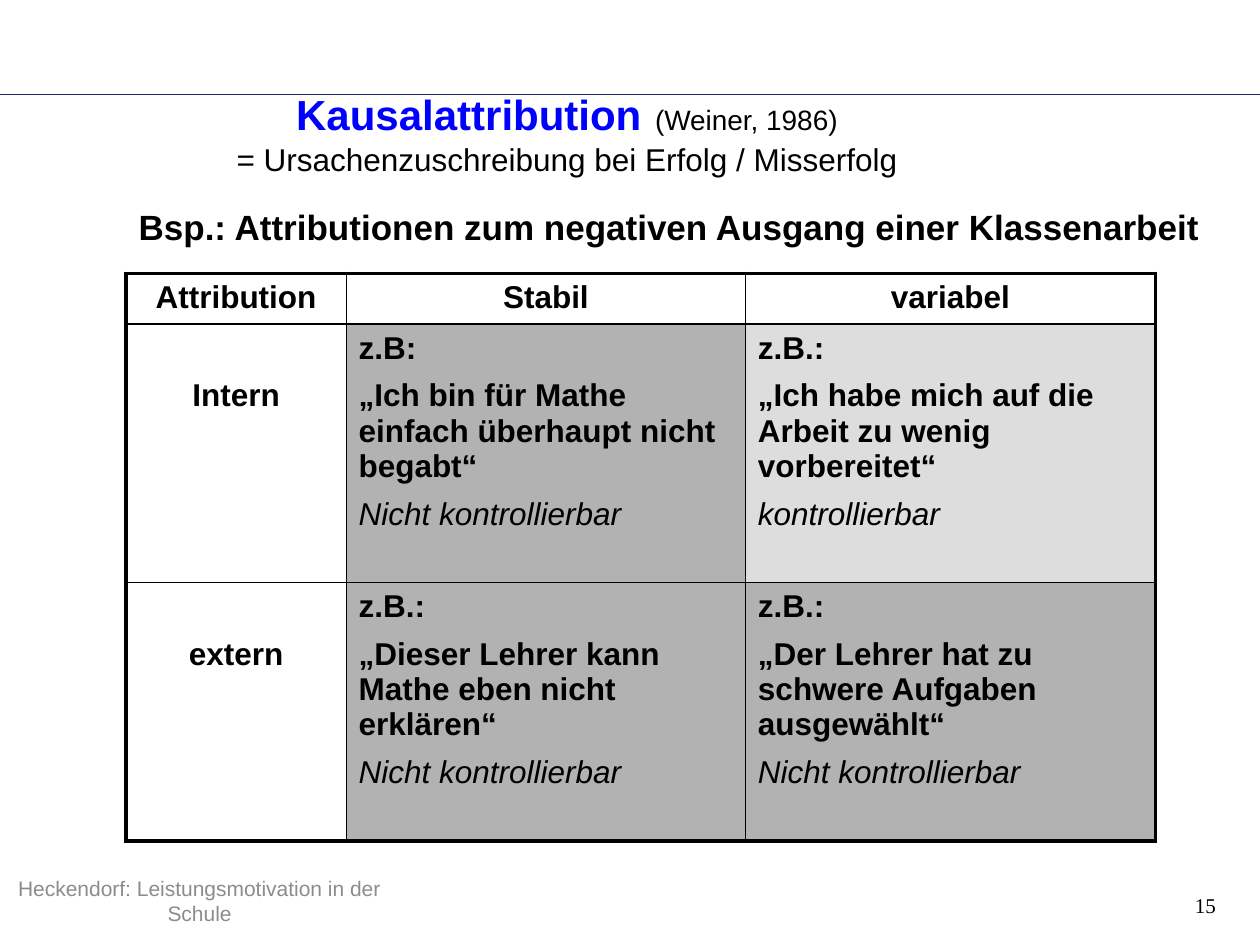
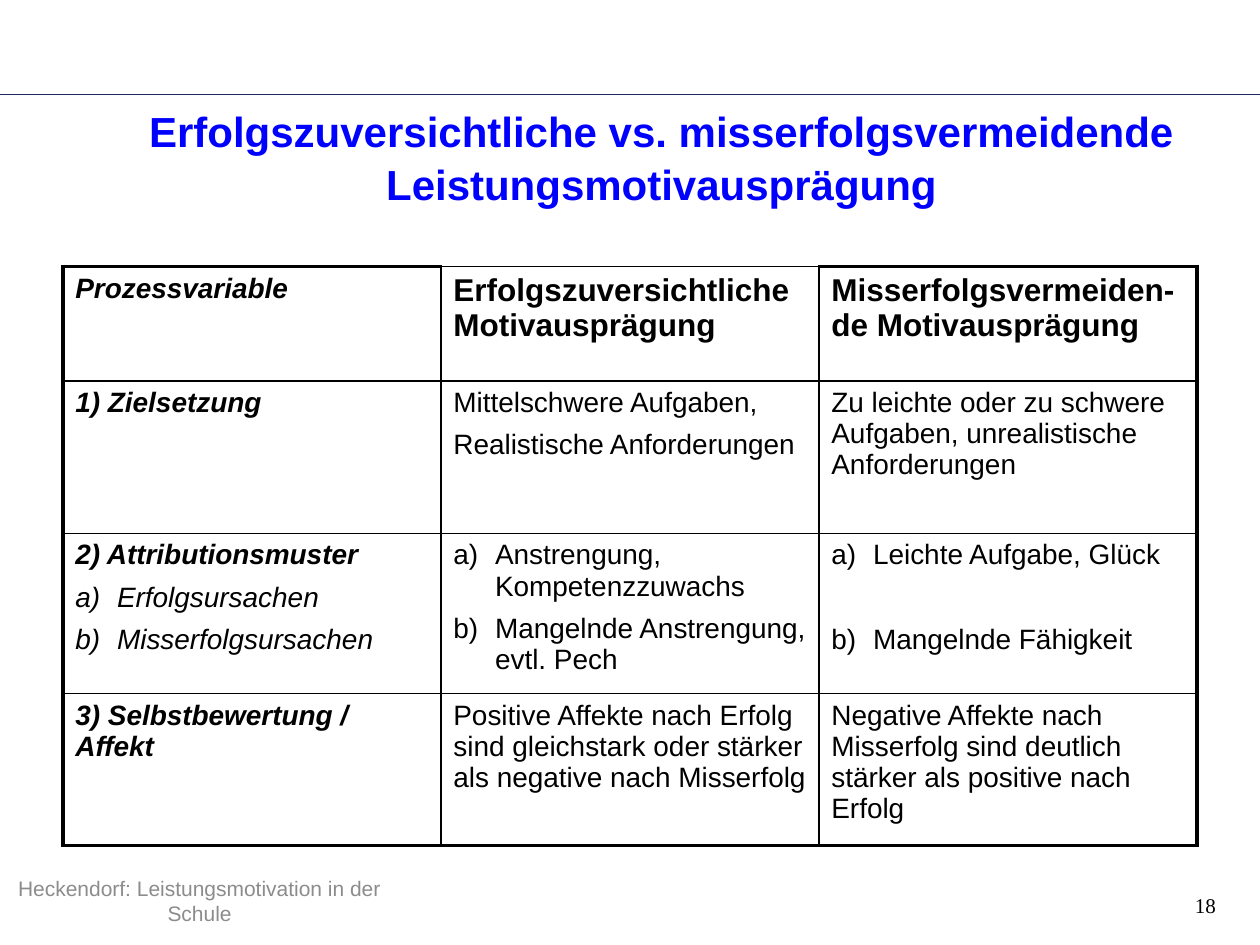
from dataclasses import dataclass

from lxml.etree import SubElement
from pptx import Presentation
from pptx.dml.color import RGBColor
from pptx.enum.shapes import MSO_CONNECTOR
from pptx.enum.text import MSO_ANCHOR, MSO_AUTO_SIZE, PP_ALIGN
from pptx.oxml.ns import qn
from pptx.util import Cm, Pt

BLUE = RGBColor(0x00, 0x00, 0xFF)
BLACK = RGBColor(0x00, 0x00, 0x00)
NAVY = RGBColor(0x1D, 0x27, 0x63)
FOOTER_GREY = RGBColor(0x8C, 0x8C, 0x8C)
MID_GREY = RGBColor(0xB2, 0xB2, 0xB2)
LIGHT_GREY = RGBColor(0xDD, 0xDD, 0xDD)

BODY_FONT = "Arial"
NUMBER_FONT = "Times New Roman"
FOOTER = "Heckendorf: Leistungsmotivation in der Schule"
OUTER, INNER = Pt(2.25), Pt(1)
HANGING = Cm(0.84)
PARAGRAPH_GAP = 0.4


@dataclass
class Entry:
    """One paragraph of a table cell."""

    text: str
    size: int = 16
    bold: bool = False
    italic: bool = False
    lettered: bool = False
    align: PP_ALIGN = PP_ALIGN.LEFT
    gap: float = PARAGRAPH_GAP


@dataclass
class Field:
    """One table cell with its entries."""

    entries: list
    fill: RGBColor = None
    top: float = 0.13


def add_run(paragraph, text, size, color=BLACK, bold=False, italic=False, font=BODY_FONT):
    """Append a formatted run to a paragraph."""
    run = paragraph.add_run()
    run.text = text
    run.font.name = font
    run.font.size = Pt(size)
    run.font.bold = bold
    run.font.italic = italic
    run.font.color.rgb = color


def place(shape, left, top, width, height):
    """Move a shape to a place given in centimetres."""
    shape.left, shape.top = Cm(left), Cm(top)
    shape.width, shape.height = Cm(width), Cm(height)


def add_header_rule(presentation, slide):
    """Draw the rule below the header and hand it to the slide master."""
    rule = slide.shapes.add_connector(
        MSO_CONNECTOR.STRAIGHT, 0, Cm(1.9), presentation.slide_width, Cm(1.9))
    rule.line.color.rgb = NAVY
    rule.line.width = Pt(0.25)
    SubElement(rule.element.spPr, qn("a:effectLst"))
    rule.element.xpath("p:nvCxnSpPr/p:cNvPr")[0].set("id", "20")
    presentation.slide_master.shapes.element.append(rule.element)


def add_footer_text(slide, text, left, width, top, align, color, font):
    """Add one line of the footer."""
    box = slide.shapes.add_textbox(Cm(left), Cm(top), Cm(width), Cm(1.02))
    frame = box.text_frame
    frame.word_wrap = True
    frame.vertical_anchor = MSO_ANCHOR.MIDDLE
    frame.paragraphs[0].alignment = align
    add_run(frame.paragraphs[0], text, 12, color, font=font)


def add_footer(slide, number):
    """Add the page number and the lecture name."""
    add_footer_text(slide, number, 23.11, 1.65, 17.73, PP_ALIGN.RIGHT, BLACK, NUMBER_FONT)
    add_footer_text(slide, FOOTER, 0, 8.05, 17.65, PP_ALIGN.CENTER, FOOTER_GREY, BODY_FONT)


def start_title(slide, text, left, top, width, height):
    """Place the title, write its blue heading and return the paragraph."""
    title = slide.shapes.title
    place(title, left, top, width, height)
    title.text_frame.auto_size = MSO_AUTO_SIZE.NONE
    title.text_frame.vertical_anchor = MSO_ANCHOR.MIDDLE
    heading = title.text_frame.paragraphs[0]
    heading.alignment = PP_ALIGN.CENTER
    add_run(heading, text, 24, BLUE, bold=True)
    return heading


def add_example_line(slide, text):
    """Write the bold line above the table into the body placeholder."""
    body = slide.placeholders[1]
    place(body, 2.54, 3, 22.23, 12.57)
    frame = body.text_frame
    frame.auto_size = MSO_AUTO_SIZE.NONE
    frame.margin_top = Cm(1.14)
    example = frame.paragraphs[0]
    properties = example._p.get_or_add_pPr()
    properties.set("marL", "0")
    properties.set("indent", "0")
    SubElement(properties, qn("a:buNone"))
    example.space_before = Pt(0)
    add_run(example, text, 20, bold=True)


def set_borders(cell, **widths):
    """Give each side of a cell a black border of its own width."""
    for side in "LRTB":
        border = SubElement(cell._tc.get_or_add_tcPr(), qn(f"a:ln{side}"), w=str(widths[side]))
        SubElement(SubElement(border, qn("a:solidFill")), qn("a:srgbClr"), val=str(BLACK))


def write_entry(paragraph, entry, first):
    """Write one cell paragraph with its letter and spacing."""
    if entry.lettered:
        properties = paragraph._p.get_or_add_pPr()
        properties.set("marL", str(HANGING))
        properties.set("indent", str(-HANGING))
        SubElement(properties, qn("a:buAutoNum"), type="alphaLcParenR")
    paragraph.alignment = entry.align
    if not first:
        paragraph.space_before = Pt(round(entry.gap * entry.size, 1))
    add_run(paragraph, entry.text, entry.size, bold=entry.bold, italic=entry.italic)


def fill_cell(cell, field):
    """Set the fill, margins and entries of a cell."""
    if field.fill is None:
        cell.fill.background()
    else:
        cell.fill.solid()
        cell.fill.fore_color.rgb = field.fill
    cell.margin_left = cell.margin_right = Cm(0.25)
    cell.margin_top, cell.margin_bottom = Cm(field.top), Cm(0.13)
    frame = cell.text_frame
    for index, entry in enumerate(field.entries):
        paragraph = frame.add_paragraph() if index else frame.paragraphs[0]
        write_entry(paragraph, entry, index == 0)


def add_grid(slide, left, top, widths, heights, rows, thin_top=()):
    """Add a table with a thick frame and thin inner lines."""
    table = slide.shapes.add_table(
        len(heights), len(widths), Cm(left), Cm(top), Cm(sum(widths)), Cm(sum(heights))).table
    table.first_row = table.horz_banding = False
    for column, width in zip(table.columns, widths):
        column.width = Cm(width)
    for row, height in zip(table.rows, heights):
        row.height = Cm(height)
    last_row, last_column = len(heights) - 1, len(widths) - 1
    for r, fields in enumerate(rows):
        for c, field in enumerate(fields):
            cell = table.cell(r, c)
            set_borders(
                cell,
                L=OUTER if c == 0 else INNER,
                R=OUTER if c == last_column else INNER,
                T=OUTER if r == 0 and c not in thin_top else INNER,
                B=OUTER if r == last_row else INNER)
            fill_cell(cell, field)


def label(text, top=0.13):
    """Return a centred bold cell."""
    return Field([Entry(text, 18, bold=True, align=PP_ALIGN.CENTER)], top=top)


def example(intro, quote, control, fill=MID_GREY):
    """Return a shaded cell with a quoted attribution."""
    return Field([Entry(intro, 18, bold=True), Entry(quote, 18, bold=True),
                  Entry(control, 18, italic=True)], fill)


def heading(text, size=18, italic=False):
    """Return a bold heading cell."""
    return Field([Entry(text, size, bold=True, italic=italic)])


def plain(*texts):
    """Return a cell of plain paragraphs."""
    return Field([Entry(text) for text in texts])


def lettered(*texts, italic=False, gap=PARAGRAPH_GAP):
    """Return entries counted a), b)."""
    return [Entry(text, italic=italic, lettered=True, gap=gap) for text in texts]


def build_attribution(slide):
    """Build the slide on causal attribution."""
    title = start_title(slide, "Kausalattribution", 0, 1.45, 22.86, 2.34)
    add_run(title, " ", 28)
    add_run(title, "(Weiner, 1986)", 16)
    title.add_line_break()
    add_run(title, "= Ursachenzuschreibung bei Erfolg / Misserfolg", 18)
    add_example_line(slide, "Bsp.: Attributionen zum negativen Ausgang einer Klassenarbeit")
    add_grid(slide, 2.54, 5.51, [4.44, 8.05, 8.26], [0.98, 5.21, 5.21], [
        [label("Attribution"), label("Stabil"), label("variabel")],
        [label("Intern", 1.09),
         example("z.B:", "„Ich bin für Mathe einfach überhaupt nicht begabt“",
                 "Nicht kontrollierbar"),
         example("z.B.:", "„Ich habe mich auf die Arbeit zu wenig vorbereitet“",
                 "kontrollierbar", LIGHT_GREY)],
        [label("extern", 1.09),
         example("z.B.:", "„Dieser Lehrer kann Mathe eben nicht erklären“",
                 "Nicht kontrollierbar"),
         example("z.B.:", "„Der Lehrer hat zu schwere Aufgaben ausgewählt“",
                 "Nicht kontrollierbar")],
    ])


def build_motives(slide):
    """Build the slide comparing the two achievement motives."""
    start_title(
        slide, "Erfolgszuversichtliche vs. misserfolgsvermeidende Leistungsmotivausprägung",
        2.54, 2.03, 21.59, 2.21).line_spacing = 1.06
    pattern = Entry("2) Attributionsmuster", bold=True, italic=True)
    add_grid(slide, 1.27, 5.37, [7.62] * 3, [2.31, 3.07, 3.23, 3.07], [
        [heading("Prozessvariable", 16, italic=True),
         heading("Erfolgszuversichtliche Motivausprägung"),
         heading("Misserfolgsvermeiden-de Motivausprägung")],
        [heading("1) Zielsetzung", 16, italic=True),
         plain("Mittelschwere Aufgaben,", "Realistische Anforderungen"),
         plain("Zu leichte oder zu schwere Aufgaben, unrealistische Anforderungen")],
        [Field([pattern, *lettered("Erfolgsursachen", "Misserfolgsursachen", italic=True)]),
         Field(lettered("Anstrengung, Kompetenzzuwachs", "Mangelnde Anstrengung, evtl. Pech")),
         Field(lettered("Leichte Aufgabe, Glück", "Mangelnde Fähigkeit", gap=1.9))],
        [heading("3) Selbstbewertung / Affekt", 16, italic=True),
         plain("Positive Affekte nach Erfolg sind gleichstark oder stärker "
               "als negative nach Misserfolg"),
         plain("Negative Affekte nach Misserfolg sind deutlich stärker "
               "als positive nach Erfolg")],
    ], thin_top={1})


def main():
    """Build and save the presentation."""
    presentation = Presentation()
    presentation.slide_width, presentation.slide_height = Cm(25.4), Cm(19.05)
    layouts = presentation.slide_layouts
    attribution = presentation.slides.add_slide(layouts[1])
    motives = presentation.slides.add_slide(layouts[5])
    add_header_rule(presentation, attribution)
    for slide, number, build in ((attribution, "15", build_attribution),
                                 (motives, "18", build_motives)):
        add_footer(slide, number)
        build(slide)
    presentation.save("out.pptx")


if __name__ == "__main__":
    main()
